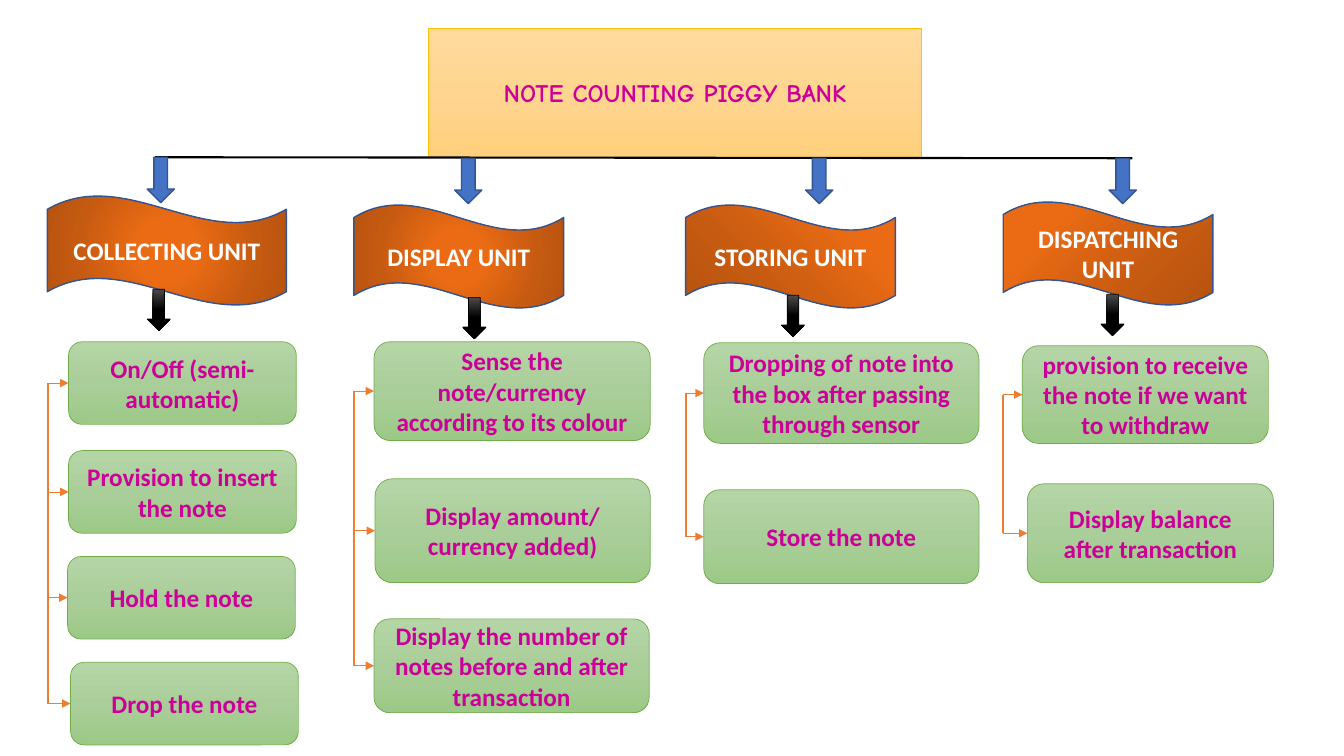
from dataclasses import dataclass

from lxml.etree import SubElement
from pptx import Presentation
from pptx.dml.color import RGBColor
from pptx.enum.shapes import MSO_CONNECTOR as Conn, MSO_SHAPE as Geom
from pptx.enum.text import MSO_ANCHOR as Anchor, MSO_AUTO_SIZE as AutoSize, PP_ALIGN as Align
from pptx.oxml.ns import qn
from pptx.util import Inches, Pt

COLORS = {
    "white": "FFFFFF", "black": "000000", "magenta": "CC0099",
    "blue": "4472C4", "navy": "325491", "orange": "ED7D31",
    "gold": "FFC000", "green": "70AD47",
}
GRADIENTS = {
    "wave": [(0, "EA6B14"), (23, "EA6B14"), (69, "C55A11"), (97, "B85410")],
    "title": [(0, "FFDB9E"), (50, "FFD590"), (100, "FFD07C")],
    "box": [(0, "B5D5A7"), (50, "AACE9A"), (100, "9CC987")],
    "arrow": [(0, "4B4B4B"), (50, "000000"), (100, "000000")],
}
CENTER = (50, 50, 50, 50)
TOP_RIGHT = (100, 0, 0, 100)
TOP_LEFT = (0, 0, 100, 100)


@dataclass
class Rect:
    x: float
    y: float
    w: float
    h: float

    def emu(self) -> tuple:
        return tuple(Inches(v) for v in (self.x, self.y, self.w, self.h))


@dataclass
class Step:
    text: str
    rect: Rect


@dataclass
class Unit:
    name: str
    wave: Rect
    focus: tuple
    blue_arrow: tuple
    black_arrow: tuple
    trunk_x: float
    steps: list


UNITS = [
    Unit("COLLECTING UNIT", Rect(0.47, 1.94, 2.37, 1.09), CENTER, (1.46, 1.56), (1.46, 2.87), 0.48, [
        Step("On/Off (semi-automatic)", Rect(0.68, 3.39, 2.26, 0.82)),
        Step("Provision to insert the note", Rect(0.68, 4.47, 2.26, 0.82)),
        Step("Hold the note", Rect(0.67, 5.52, 2.26, 0.82)),
        Step("Drop the note", Rect(0.7, 6.57, 2.26, 0.82)),
    ]),
    Unit("DISPLAY UNIT", Rect(3.51, 2.03, 2.08, 1.03), CENTER, (4.51, 1.57), (4.59, 2.95), 3.51, [
        Step("Sense the note/currency according to its colour", Rect(3.71, 3.39, 2.74, 0.98)),
        Step("Display amount/ currency added)", Rect(3.72, 4.75, 2.73, 1.03)),
        Step("Display the number of notes before and after transaction", Rect(3.71, 6.14, 2.73, 0.93)),
    ]),
    Unit("STORING UNIT", Rect(6.8, 2.03, 2.08, 1.03), TOP_RIGHT, (7.99, 1.57), (7.75, 2.93), 6.8, [
        Step("Dropping of note into the box after passing through sensor", Rect(6.98, 3.4, 2.73, 1)),
        Step("Store the note", Rect(6.98, 4.86, 2.73, 0.93)),
    ]),
    Unit("DISPATCHING UNIT", Rect(9.95, 2, 2.08, 1.03), TOP_LEFT, (11, 1.57), (10.92, 2.92), 9.95, [
        Step("provision to receive the note if we want to withdraw", Rect(10.14, 3.43, 2.44, 0.97)),
        Step("Display balance after transaction", Rect(10.19, 4.8, 2.44, 0.98)),
    ]),
]


def rgb(name: str) -> RGBColor:
    return RGBColor.from_string(COLORS[name])


def set_gradient(sp, name: str, focus: tuple = ()) -> None:
    sp.fill.background()
    grad = sp._element.spPr.find(qn("a:noFill"))
    fill = SubElement(sp._element.spPr, qn("a:gradFill"), rotWithShape="1")
    grad.getparent().replace(grad, fill)
    stops = SubElement(fill, qn("a:gsLst"))
    for pos, color in GRADIENTS[name]:
        stop = SubElement(stops, qn("a:gs"), pos=str(pos * 1000))
        SubElement(stop, qn("a:srgbClr"), val=color)
    if focus:
        circle = SubElement(fill, qn("a:path"))
        circle.set("path", "circle")
        sides = {side: str(v * 1000) for side, v in zip("ltrb", focus)}
        SubElement(circle, qn("a:fillToRect"), **sides)
    else:
        SubElement(fill, qn("a:lin"), ang="5400000", scaled="0")


def set_line(sp, color: str, width: float) -> None:
    sp.line.color.rgb = rgb(color)
    sp.line.width = Pt(width)


def set_text(sp, text: str, color: str, font: str = "Calibri") -> None:
    tf = sp.text_frame
    tf.word_wrap = True
    tf.auto_size = AutoSize.NONE
    tf.vertical_anchor = Anchor.MIDDLE
    p = tf.paragraphs[0]
    p.alignment = Align.CENTER
    r = p.add_run()
    r.text = text
    r.font.name = font
    r.font.size = Pt(18)
    r.font.bold = True
    r.font.color.rgb = rgb(color)


def add_shape(s, geom: Geom, rect: Rect, line: str, width: float):
    sp = s.shapes.add_shape(geom, *rect.emu())
    sp.shadow.inherit = False
    set_line(sp, line, width)
    return sp


def add_line(s, x1: float, y1: float, x2: float, y2: float, color: str, width: float, arrow: bool = False):
    c = s.shapes.add_connector(Conn.STRAIGHT, *(Inches(v) for v in (x1, y1, x2, y2)))
    set_line(c, color, width)
    if arrow:
        SubElement(c.line._get_or_add_ln(), qn("a:tailEnd"), type="triangle")
    SubElement(c._element.spPr, qn("a:effectLst"))
    return c


def add_title(s, text: str) -> None:
    sp = s.shapes.title
    sp.left, sp.top, sp.width, sp.height = Rect(4.25, 0.28, 4.89, 1.28).emu()
    geom = SubElement(sp._element.spPr, qn("a:prstGeom"), prst="leftRightArrow")
    SubElement(geom, qn("a:avLst"))
    set_gradient(sp, "title")
    set_line(sp, "gold", 0.5)
    set_text(sp, text, "magenta", "Comic Neue")


def add_unit(s, unit: Unit) -> None:
    wave = add_shape(s, Geom.WAVE, unit.wave, "navy", 1)
    set_gradient(wave, "wave", unit.focus)
    set_text(wave, unit.name, "white")

    blue = add_shape(s, Geom.DOWN_ARROW, Rect(*unit.blue_arrow, 0.27, 0.45), "navy", 1)
    blue.fill.solid()
    blue.fill.fore_color.rgb = rgb("blue")
    black = add_shape(s, Geom.DOWN_ARROW, Rect(*unit.black_arrow, 0.23, 0.41), "black", 0.5)
    set_gradient(black, "arrow")

    middles = [step.rect.y + step.rect.h / 2 for step in unit.steps]
    add_line(s, unit.trunk_x, middles[0], unit.trunk_x, middles[-1], "orange", 1.5)
    for step, y in zip(unit.steps, middles):
        box = add_shape(s, Geom.ROUNDED_RECTANGLE, step.rect, "green", 0.5)
        set_gradient(box, "box")
        set_text(box, step.text, "magenta")
        branch = add_line(s, unit.trunk_x, y, step.rect.x, y, "orange", 0.5, arrow=True)
        branch.end_connect(box, 1)


def main() -> None:
    prs = Presentation()
    prs.slide_width, prs.slide_height = Inches(13.33), Inches(7.5)
    s = prs.slides.add_slide(prs.slide_layouts[5])
    add_title(s, "NOTE COUNTING PIGGY BANK")
    add_line(s, 1.54, 1.56, 11.23, 1.57, "black", 1.5)
    for unit in UNITS:
        add_unit(s, unit)
    prs.save("out.pptx")


if __name__ == "__main__":
    main()
